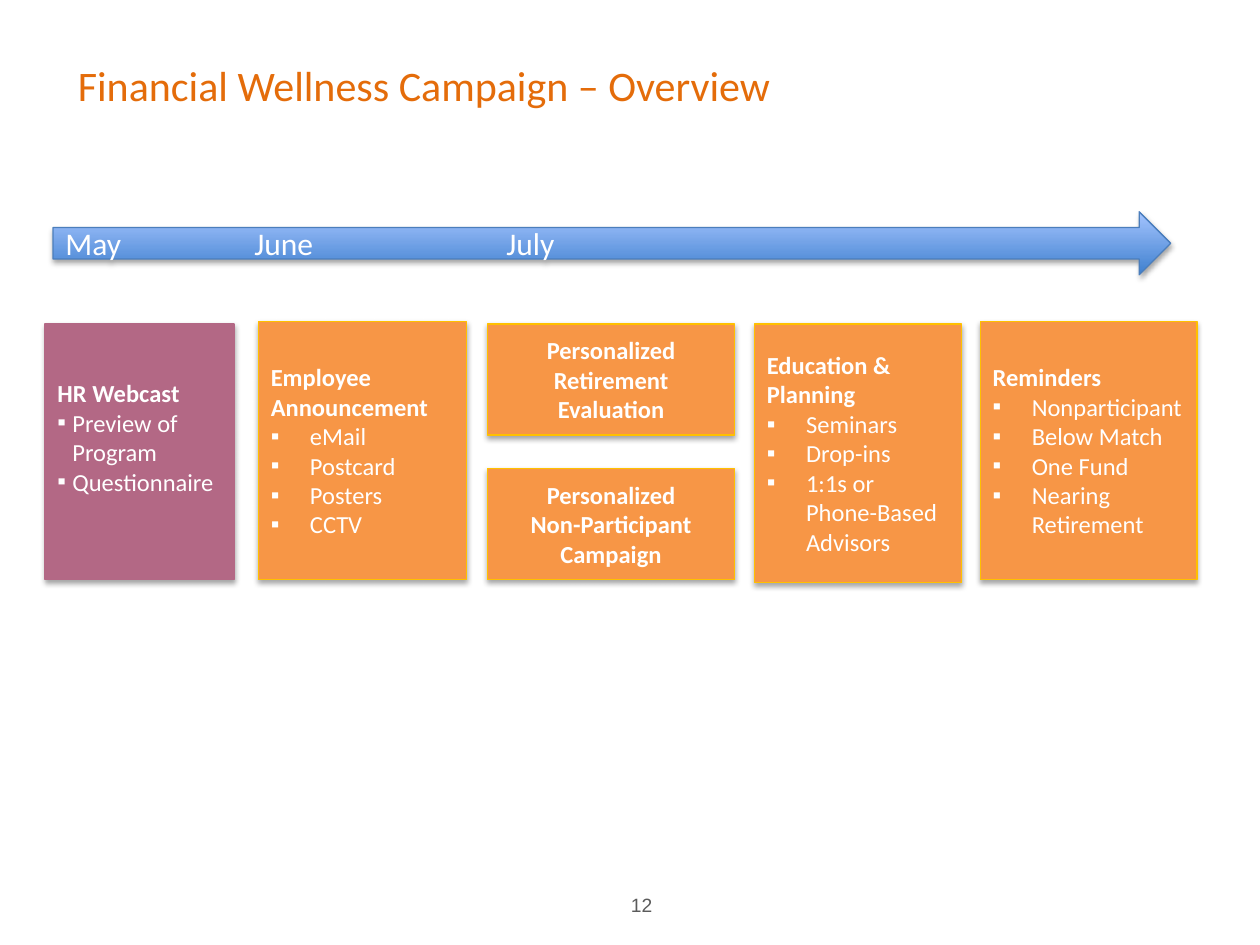
from lxml.etree import SubElement
from pptx import Presentation
from pptx.dml.color import RGBColor
from pptx.enum.shapes import MSO_SHAPE
from pptx.enum.text import MSO_ANCHOR, PP_ALIGN
from pptx.oxml.ns import qn
from pptx.util import Cm, Pt

ORANGE = RGBColor(0xF7, 0x96, 0x46)
GOLD = RGBColor(0xFF, 0xC0, 0x00)
PLUM = RGBColor(0xB3, 0x68, 0x85)
TITLE_ORANGE = RGBColor(0xE4, 0x6C, 0x0A)
ARROW_DARK = RGBColor(0x3F, 0x80, 0xCE)
ARROW_LIGHT = RGBColor(0xA4, 0xC4, 0xFF)
ARROW_LINE = RGBColor(0x4B, 0x7E, 0xBC)
WHITE = RGBColor(0xFF, 0xFF, 0xFF)
GRAY = RGBColor(0x5B, 0x5B, 0x5B)

# Content
TITLE = "Financial Wellness Campaign – Overview"
PAGE_NUMBER = "12"
MONTHS = ["May", "June", "July"]
MONTH_STOPS = [3.81, 8.89]  # cm from the text edge, for June and July
WIDE_INDENT, NARROW_INDENT = 0.79, 0.3

# Cards: left, top, width, height in cm, then heading lines and bullets
CARDS = [
    dict(at=(5.21, 6.48, 4.19, 5.21), heading=["Employee Announcement"],
         bullets=["eMail", "Postcard", "Posters", "CCTV"]),
    dict(at=(9.83, 6.53, 4.98, 2.24),
         heading=["Personalized Retirement Evaluation"]),
    dict(at=(15.21, 6.53, 4.17, 5.21), heading=["Education & Planning"],
         bullets=["Seminars", "Drop-ins", "1:1s or Phone-Based Advisors"]),
    dict(at=(19.76, 6.48, 4.37, 5.21), heading=["Reminders"],
         bullets=["Nonparticipant", "Below Match", "One Fund",
                  "Nearing Retirement"]),
    dict(at=(9.83, 9.45, 4.98, 2.24),
         heading=["Personalized", "Non-Participant Campaign"]),
    dict(at=(0.91, 6.53, 3.81, 5.16), heading=["HR Webcast"],
         bullets=["Preview of Program", "Questionnaire"],
         indent=NARROW_INDENT, fill=PLUM, line=PLUM, bottom=0.72),
]


def write(frame, text, size=14, color=WHITE, font="Calibri", bold=False,
          align=PP_ALIGN.LEFT, indent=None, stops=()):
    """Add one paragraph, filling the first one while it is empty."""
    para = frame.paragraphs[0]
    if para.runs:
        para = frame.add_paragraph()
    para.alignment = align
    props = para._p.get_or_add_pPr()
    if indent:
        props.set("marL", str(Cm(indent)))
        props.set("indent", str(-Cm(indent)))
        SubElement(props, qn("a:buFont"), typeface="Arial")
        SubElement(props, qn("a:buChar"), char="▪")
    if stops:
        tabs = SubElement(props, qn("a:tabLst"))
        for stop in stops:
            SubElement(tabs, qn("a:tab"), pos=str(Cm(stop)), algn="l")
    span = para.add_run()
    span.text = text
    span.font.name = font
    span.font.size = Pt(size)
    span.font.bold = bold
    span.font.color.rgb = color


def add_text(page, at, text, **style):
    box = page.shapes.add_textbox(*map(Cm, at))
    box.text_frame.word_wrap = True
    write(box.text_frame, text, **style)


def add_block(page, kind, at, line):
    """Add an outlined shape with a soft shadow below it."""
    block = page.shapes.add_shape(kind, *map(Cm, at))
    block.line.color.rgb = line
    block.line.width = Pt(0.75)
    block.shadow.inherit = False
    effects = block._element.spPr.find(qn("a:effectLst"))
    shadow = SubElement(effects, qn("a:outerShdw"), blurRad=str(Pt(3.1)),
                        dist=str(Pt(1.8)), dir="5400000", rotWithShape="0")
    black = SubElement(shadow, qn("a:srgbClr"), val="000000")
    SubElement(black, qn("a:alpha"), val="35000")
    block.text_frame.word_wrap = True
    block.text_frame.vertical_anchor = MSO_ANCHOR.MIDDLE
    return block


def add_card(page, at, heading, bullets=(), indent=WIDE_INDENT,
             fill=ORANGE, line=GOLD, bottom=0.13):
    card = add_block(page, MSO_SHAPE.RECTANGLE, at, line)
    card.fill.solid()
    card.fill.fore_color.rgb = fill
    frame = card.text_frame
    frame.margin_bottom = Cm(bottom)
    align = PP_ALIGN.LEFT if bullets else PP_ALIGN.CENTER
    for text in heading:
        write(frame, text, bold=True, align=align)
    for text in bullets:
        write(frame, text, indent=indent)


def add_timeline(page):
    arrow = add_block(page, MSO_SHAPE.RIGHT_ARROW, (1.07, 4.27, 22.53, 1.27),
                      ARROW_LINE)
    arrow.fill.gradient()
    arrow.fill.gradient_angle = 90
    for stop, color in zip(arrow.fill.gradient_stops,
                           (ARROW_DARK, ARROW_LIGHT)):
        stop.color.rgb = color
    write(arrow.text_frame, "\t".join(MONTHS), size=18, stops=MONTH_STOPS)


def main():
    deck = Presentation()
    deck.slide_width, deck.slide_height = Cm(25.4), Cm(19.05)
    page = deck.slides.add_slide(deck.slide_layouts[6])

    # Page number and cards
    add_text(page, (12.47, 17.88, 1.6, 1.17), PAGE_NUMBER, size=11,
             color=GRAY, font="Arial")
    for card in CARDS:
        add_card(page, **card)

    # Title and month arrow
    add_text(page, (1.32, 1.07, 23.04, 1.27), TITLE, size=24,
             color=TITLE_ORANGE)
    add_timeline(page)
    deck.save("out.pptx")


if __name__ == "__main__":
    main()
